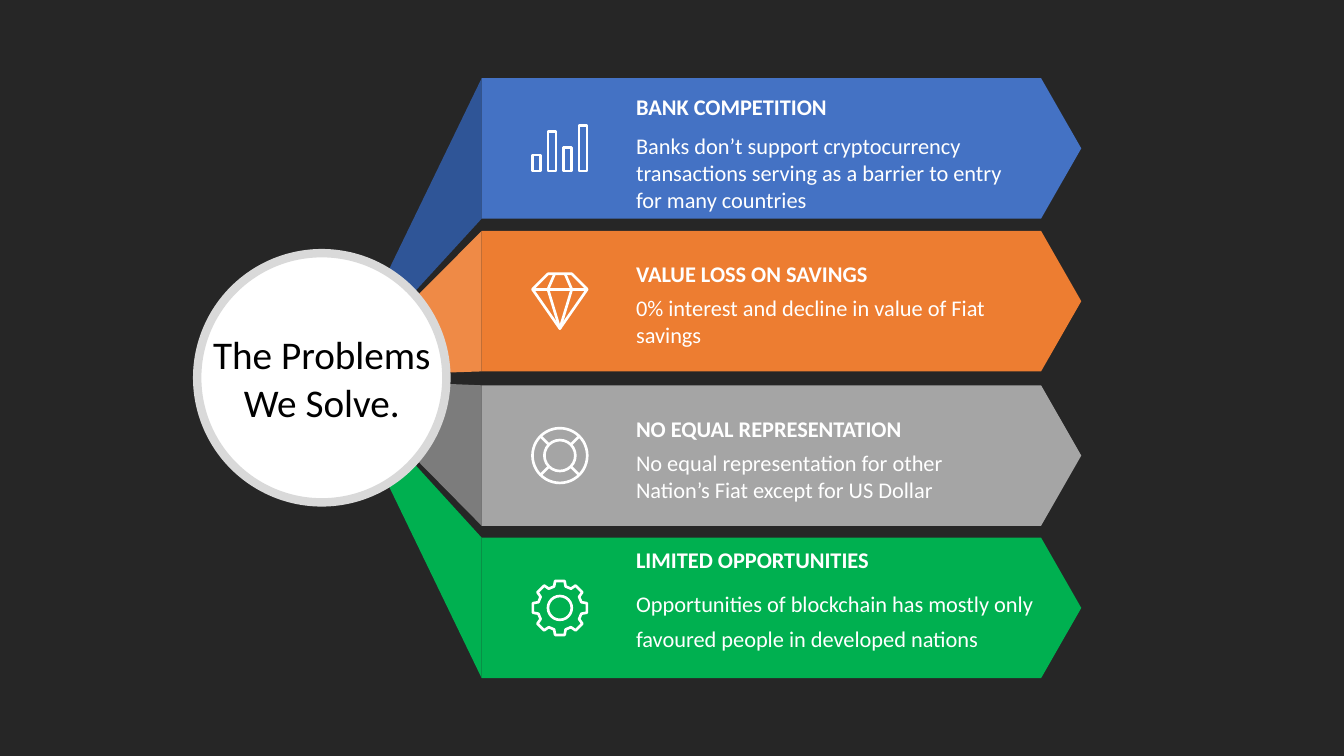
from dataclasses import dataclass
from math import cos, radians, sin

from lxml.etree import SubElement
from pptx import Presentation
from pptx.dml.color import RGBColor
from pptx.enum.shapes import MSO_CONNECTOR, MSO_SHAPE
from pptx.enum.text import MSO_ANCHOR, PP_ALIGN
from pptx.oxml.ns import qn
from pptx.util import Cm, Pt


@dataclass(frozen=True)
class Theme:
    font: str = "Calibri"
    title_size: int = 28
    text_size: int = 16
    hub_line: float = 6
    icon_line: float = 1.9
    background: str = "262626"
    white: str = "FFFFFF"
    black: str = "000000"
    hub_ring: str = "D9D9D9"


THEME = Theme()
TITLE = "The Problems\nWe Solve."
PROBLEMS = [
    dict(heading="BANK COMPETITION",
         body="Banks don’t support cryptocurrency transactions serving as a barrier to entry for many countries",
         icon="bars", plate="4472C4", ribbon="2F5597", top=1.97,
         heading_top=2.36, body_top=3.33, body_width=9.35, spacing=1.0),
    dict(heading="VALUE LOSS ON SAVINGS",
         body="0% interest and decline in value of Fiat savings",
         icon="diamond", plate="ED7D31", ribbon="EF8A46", top=5.82,
         heading_top=6.55, body_top=7.42, body_width=9.35, spacing=1.0),
    dict(heading="NO EQUAL REPRESENTATION",
         body="No equal representation for other Nation’s Fiat except for US Dollar",
         icon="lifebuoy", plate="A5A5A5", ribbon="7C7C7C", top=9.71,
         heading_top=10.46, body_top=11.33, body_width=9.35, spacing=1.0),
    dict(heading="LIMITED OPPORTUNITIES",
         body="Opportunities of blockchain has mostly only favoured people in developed nations",
         icon="gear", plate="00B050", ribbon="00B050", top=13.55,
         heading_top=13.77, body_top=14.66, body_width=10.16, spacing=1.3),
]

HUB_X, HUB_Y, HUB_RADIUS = 8.11, 9.52, 3.14
APEX_X, APEX_SHIFT = 8.5, 0.04
PLATE_LEFT, PLATE_WIDTH, PLATE_HEIGHT, PLATE_POINT = 12.14, 15.11, 3.54, 0.286
ICON_X, TEXT_LEFT, HEADING_WIDTH, HEADING_HEIGHT = 14.11, 16.03, 7.8, 0.69
ICON_RADIUS = 0.69
BAR_HEIGHTS, BAR_WIDTH, BAR_STEP, BAR_BASE = [0.4, 1.0, 0.6, 1.14], 0.2, 0.39, 0.57


def rgb(code):
    return RGBColor.from_string(code)


def paint(shape, fill=None, line=None, width=THEME.icon_line):
    shape.shadow.inherit = False
    if fill:
        shape.fill.solid()
        shape.fill.fore_color.rgb = rgb(fill)
    else:
        shape.fill.background()
    if line:
        shape.line.color.rgb = rgb(line)
        shape.line.width = Pt(width)
    else:
        shape.line.fill.background()


def outline(page, points, close=True, **style):
    corners = [(Cm(x), Cm(y)) for x, y in points]
    builder = page.shapes.build_freeform(*corners[0])
    builder.add_line_segments(corners[1:], close=close)
    paint(builder.convert_to_shape(), **style)


def circle(page, x, y, radius, **style):
    shape = page.shapes.add_shape(
        MSO_SHAPE.OVAL, Cm(x - radius), Cm(y - radius), Cm(2 * radius), Cm(2 * radius))
    paint(shape, **style)
    return shape


def segment(page, x1, y1, x2, y2):
    line = page.shapes.add_connector(MSO_CONNECTOR.STRAIGHT, Cm(x1), Cm(y1), Cm(x2), Cm(y2))
    line.line.color.rgb = rgb(THEME.white)
    line.line.width = Pt(THEME.icon_line)
    SubElement(line._element.spPr, qn("a:effectLst"))


def polar(x, y, radius, degrees):
    return x + radius * cos(radians(degrees)), y + radius * sin(radians(degrees))


def draw_bars(page, x, y):
    first = x - BAR_STEP * (len(BAR_HEIGHTS) - 1) / 2 - BAR_WIDTH / 2
    for index, height in enumerate(BAR_HEIGHTS):
        bar = page.shapes.add_shape(
            MSO_SHAPE.RECTANGLE, Cm(first + index * BAR_STEP), Cm(y + BAR_BASE - height),
            Cm(BAR_WIDTH), Cm(height))
        paint(bar, line=THEME.white)


def draw_diamond(page, x, y):
    rim = [(-0.3, -0.69), (0.3, -0.69), (0.69, -0.3), (0, 0.69), (-0.69, -0.3)]
    facets = [(-0.13, -0.69), (-0.3, -0.3), (0, 0.69), (0.3, -0.3), (0.13, -0.69)]
    for points, close in ((rim, True), (facets, False)):
        outline(page, [(x + dx, y + dy) for dx, dy in points], close, line=THEME.white)
    segment(page, x - 0.69, y - 0.3, x + 0.69, y - 0.3)


def draw_lifebuoy(page, x, y):
    inner = 0.39
    for radius in (ICON_RADIUS, inner):
        circle(page, x, y, radius, line=THEME.white)
    for angle in range(45, 360, 90):
        segment(page, *polar(x, y, inner, angle), *polar(x, y, ICON_RADIUS, angle))


def draw_gear(page, x, y):
    tooth = [(0.56, -15), (ICON_RADIUS, -10), (ICON_RADIUS, 10), (0.56, 15)]
    points = [polar(x, y, radius, turn + angle)
              for turn in range(0, 360, 45) for radius, angle in tooth]
    outline(page, points, line=THEME.white)
    circle(page, x, y, 0.3, line=THEME.white)


ICONS = dict(bars=draw_bars, diamond=draw_diamond, lifebuoy=draw_lifebuoy, gear=draw_gear)


def style_frame(frame, size, color, bold=False, align=PP_ALIGN.LEFT, spacing=1.0):
    frame.word_wrap = True
    frame.margin_left = frame.margin_right = frame.margin_top = frame.margin_bottom = 0
    for para in frame.paragraphs:
        para.alignment = align
        para.line_spacing = spacing
        para.font.name = THEME.font
        para.font.size = Pt(size)
        para.font.bold = bold
        para.font.color.rgb = rgb(color)


def add_text(page, text, top, width, height, **style):
    box = page.shapes.add_textbox(Cm(TEXT_LEFT), Cm(top), Cm(width), Cm(height))
    box.text_frame.text = text
    style_frame(box.text_frame, THEME.text_size, THEME.white, **style)


def add_ribbon(page, problem):
    top = problem["top"]
    bottom = top + PLATE_HEIGHT
    apex_y = HUB_Y + (APEX_SHIFT if top > HUB_Y else -APEX_SHIFT)
    outline(page, [(PLATE_LEFT, top), (PLATE_LEFT, bottom), (APEX_X, apex_y)],
            fill=problem["ribbon"])


def add_hub(page):
    hub = circle(page, HUB_X, HUB_Y, HUB_RADIUS, fill=THEME.white,
                 line=THEME.hub_ring, width=THEME.hub_line)
    title = page.shapes.title
    title.left, title.top = Cm(HUB_X - 3.04), Cm(HUB_Y - 1.32)
    title.width, title.height = Cm(6.08), Cm(2.64)
    title.text_frame.text = TITLE
    title.text_frame.vertical_anchor = MSO_ANCHOR.MIDDLE
    style_frame(title.text_frame, THEME.title_size, THEME.black, align=PP_ALIGN.CENTER)
    hub._element.addnext(title._element)


def add_problem(page, problem):
    plate = page.shapes.add_shape(
        MSO_SHAPE.PENTAGON, Cm(PLATE_LEFT), Cm(problem["top"]), Cm(PLATE_WIDTH), Cm(PLATE_HEIGHT))
    plate.adjustments[0] = PLATE_POINT
    paint(plate, fill=problem["plate"])
    ICONS[problem["icon"]](page, ICON_X, problem["top"] + PLATE_HEIGHT / 2)
    add_text(page, problem["heading"], problem["heading_top"], HEADING_WIDTH, HEADING_HEIGHT, bold=True)
    add_text(page, problem["body"], problem["body_top"], problem["body_width"],
             2 * HEADING_HEIGHT, spacing=problem["spacing"])


def main():
    deck = Presentation()
    deck.slide_width, deck.slide_height = Cm(33.87), Cm(19.05)
    page = deck.slides.add_slide(deck.slide_layouts[5])
    page.background.fill.solid()
    page.background.fill.fore_color.rgb = rgb(THEME.background)
    for problem in PROBLEMS:
        add_ribbon(page, problem)
    add_hub(page)
    for problem in PROBLEMS:
        add_problem(page, problem)
    deck.save("out.pptx")


if __name__ == "__main__":
    main()
